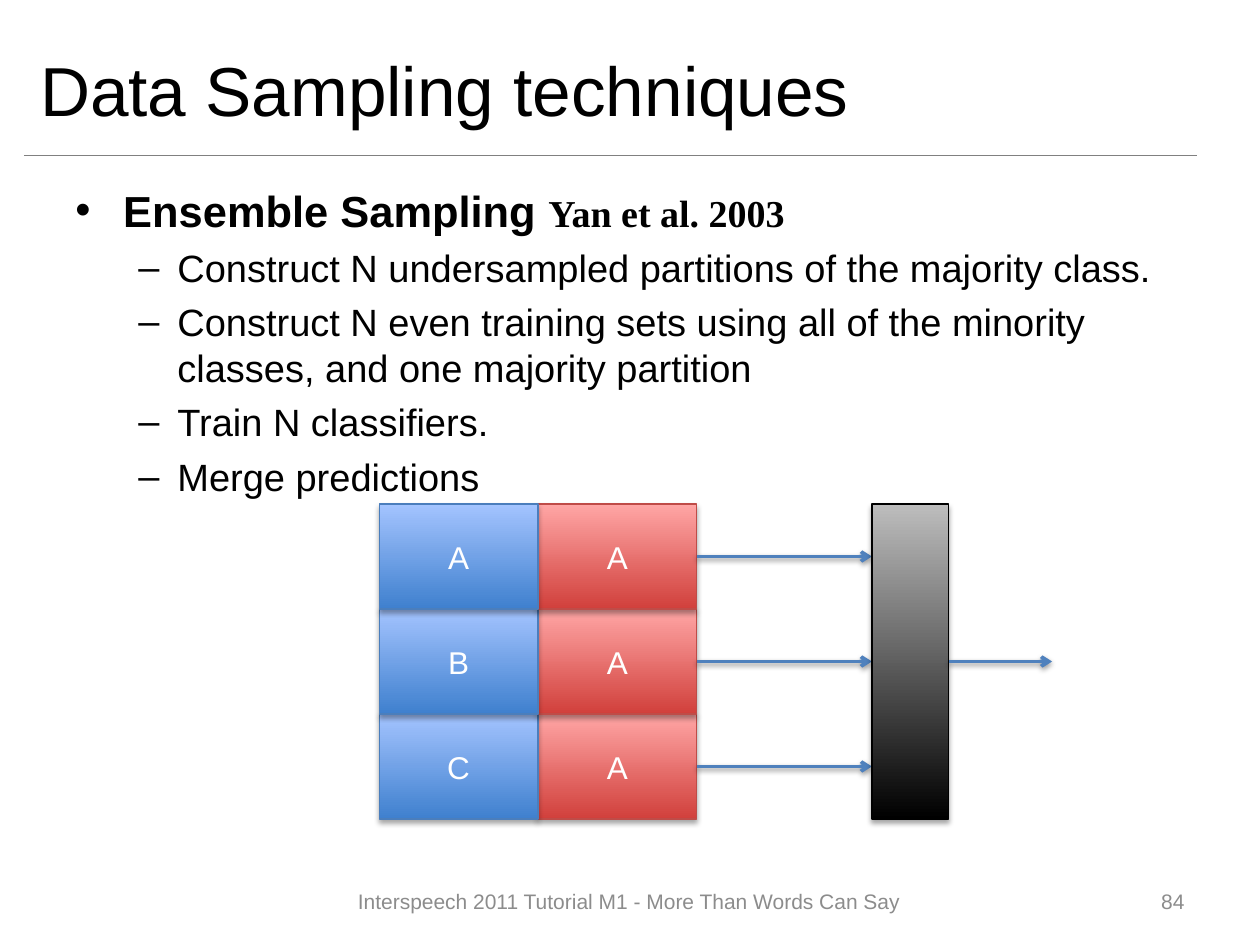
from dataclasses import dataclass

from lxml import etree
from pptx import Presentation
from pptx import util as u
from pptx.dml.color import RGBColor
from pptx.enum import shapes, text
from pptx.oxml import ns

Inches, Pt = u.Inches, u.Pt
ALIGN, ANCHOR = text.PP_ALIGN, text.MSO_ANCHOR


@dataclass(frozen=True)
class Theme:
    sans: str = "Arial"
    serif: str = "Times New Roman"
    ink: str = "000000"
    light: str = "FFFFFF"
    muted: str = "8C8C8C"
    rule: str = "808080"
    arrow: str = "4F81BD"
    majority: tuple = ("3F80CE", "A4C4FF", "4B7EBC")
    minority: tuple = ("D1403C", "FFA6A5", "BF4C48")
    merger: tuple = ("000000", "BDBDBD", "000000")
    title_size: float = 39.6
    heading_size: float = 24.8
    body_size: float = 21.7
    block_size: float = 18
    footer_size: float = 12


THEME = Theme()
GRID_LEFT, GRID_TOP, GRID_HEIGHT = 3.01, 4, 2.5
BLOCK_WIDTH = 1.26
MERGER_LEFT, MERGER_WIDTH = 6.92, 0.61
OUTPUT_END = 8.35
PARTITIONS = ["A", "B", "C"]
STEPS = [
    "Construct N undersampled partitions of the majority class.",
    "Construct N even training sets using all of the minority classes, "
    "and one majority partition",
    "Train N classifiers.",
    "Merge predictions",
]


def add_child(parent, tag, **attributes):
    child = etree.SubElement(parent, ns.qn(tag))
    for key, value in attributes.items():
        child.set(key, str(value))
    return child


def write(paragraph, words, size=THEME.body_size, color=THEME.ink,
          font=THEME.sans, bold=False, align=ALIGN.LEFT):
    paragraph.alignment = align
    run = paragraph.add_run()
    run.text = words
    run.font.name, run.font.size, run.font.bold = font, Pt(size), bold
    run.font.color.rgb = RGBColor.from_string(color)


def set_bullet(paragraph, mark, left, hanging):
    properties = paragraph._p.get_or_add_pPr()
    properties.set("marL", str(Inches(left)))
    properties.set("indent", str(-Inches(hanging)))
    add_child(properties, "a:buFont", typeface=THEME.sans)
    add_child(properties, "a:buChar", char=mark)


def set_effects(element, opacity=0, distance=0):
    effects = add_child(element.spPr, "a:effectLst")
    if opacity:
        shadow = add_child(effects, "a:outerShdw", blurRad=Pt(3.1),
                           dist=Pt(distance), dir=90 * 60000, rotWithShape=0)
        black = add_child(shadow, "a:srgbClr", val=THEME.ink)
        add_child(black, "a:alpha", val=opacity * 1000)


def add_frame(slide, left, top, width, height, anchor=ANCHOR.MIDDLE):
    frame = slide.shapes.add_textbox(
        Inches(left), Inches(top), Inches(width), Inches(height)).text_frame
    frame.word_wrap = True
    frame.vertical_anchor = anchor
    return frame


def add_block(slide, left, top, width, height, palette, label=None):
    block = slide.shapes.add_shape(
        shapes.MSO_SHAPE.RECTANGLE,
        Inches(left), Inches(top), Inches(width), Inches(height))
    bottom, upper, edge = palette
    block.fill.gradient()
    block.fill.gradient_angle = 90
    for stop, position, color in zip(block.fill.gradient_stops, (0, 1), (bottom, upper)):
        stop.position = position
        stop.color.rgb = RGBColor.from_string(color)
    block.line.color.rgb = RGBColor.from_string(edge)
    block.line.width = Pt(0.75)
    set_effects(block._element, opacity=35, distance=1.8)
    if label:
        block.text_frame.vertical_anchor = ANCHOR.MIDDLE
        write(block.text_frame.paragraphs[0], label, size=THEME.block_size,
              color=THEME.light, align=ALIGN.CENTER)


def add_line(slide, start, end, y, color, weight):
    line = slide.shapes.add_connector(
        shapes.MSO_CONNECTOR.STRAIGHT, Inches(start), Inches(y), Inches(end), Inches(y))
    line.line.color.rgb = RGBColor.from_string(color)
    line.line.width = Pt(weight)
    return line


def add_rule(slide):
    rule = add_line(slide, 0.19, 9.5, 1.23, THEME.rule, 0.25)
    set_effects(rule._element)


def add_arrow(slide, start, end, y):
    arrow = add_line(slide, start, end, y, THEME.arrow, 2)
    add_child(arrow.line._get_or_add_ln(), "a:tailEnd", type="arrow")
    set_effects(arrow._element, opacity=38, distance=1.6)


def add_outline(slide):
    outline = add_frame(slide, 0.5, 1.41, 9, 2.29, anchor=ANCHOR.TOP)
    heading = outline.paragraphs[0]
    set_bullet(heading, "•", 0.38, 0.38)
    write(heading, "Ensemble Sampling ", size=THEME.heading_size, bold=True)
    write(heading, "Yan et al. 2003", font=THEME.serif, bold=True)
    for words in STEPS:
        step = outline.add_paragraph()
        step.level = 1
        set_bullet(step, "–", 0.81, 0.31)
        step.space_before = Pt(5)
        write(step, words)


def add_diagram(slide):
    row_height = GRID_HEIGHT / len(PARTITIONS)
    minority_left = GRID_LEFT + BLOCK_WIDTH
    for row, partition in reversed(list(enumerate(PARTITIONS))):
        top = GRID_TOP + row * row_height
        add_block(slide, minority_left, top, BLOCK_WIDTH, row_height, THEME.minority, "A")
        add_block(slide, GRID_LEFT, top, BLOCK_WIDTH, row_height, THEME.majority, partition)
        add_arrow(slide, minority_left + BLOCK_WIDTH, MERGER_LEFT, top + row_height / 2)
    add_block(slide, MERGER_LEFT, GRID_TOP, MERGER_WIDTH, GRID_HEIGHT, THEME.merger)
    add_arrow(slide, MERGER_LEFT + MERGER_WIDTH, OUTPUT_END, GRID_TOP + GRID_HEIGHT / 2)


def main():
    deck = Presentation()
    deck.slide_width, deck.slide_height = Inches(10), Inches(7.5)
    slide = deck.slides.add_slide(deck.slide_layouts[6])
    add_rule(slide)
    title = add_frame(slide, 0.22, 0.3, 9.28, 0.81)
    write(title.paragraphs[0], "Data Sampling techniques", size=THEME.title_size)
    add_outline(slide)
    add_diagram(slide)
    footer = add_frame(slide, 2.46, 6.95, 5.07, 0.4)
    write(footer.paragraphs[0], "Interspeech 2011 Tutorial M1 - More Than Words Can Say",
          size=THEME.footer_size, color=THEME.muted, align=ALIGN.CENTER)
    number = add_frame(slide, 7.17, 6.95, 2.33, 0.4)
    write(number.paragraphs[0], "84", size=THEME.footer_size, color=THEME.muted,
          align=ALIGN.RIGHT)
    deck.save("out.pptx")


if __name__ == "__main__":
    main()
